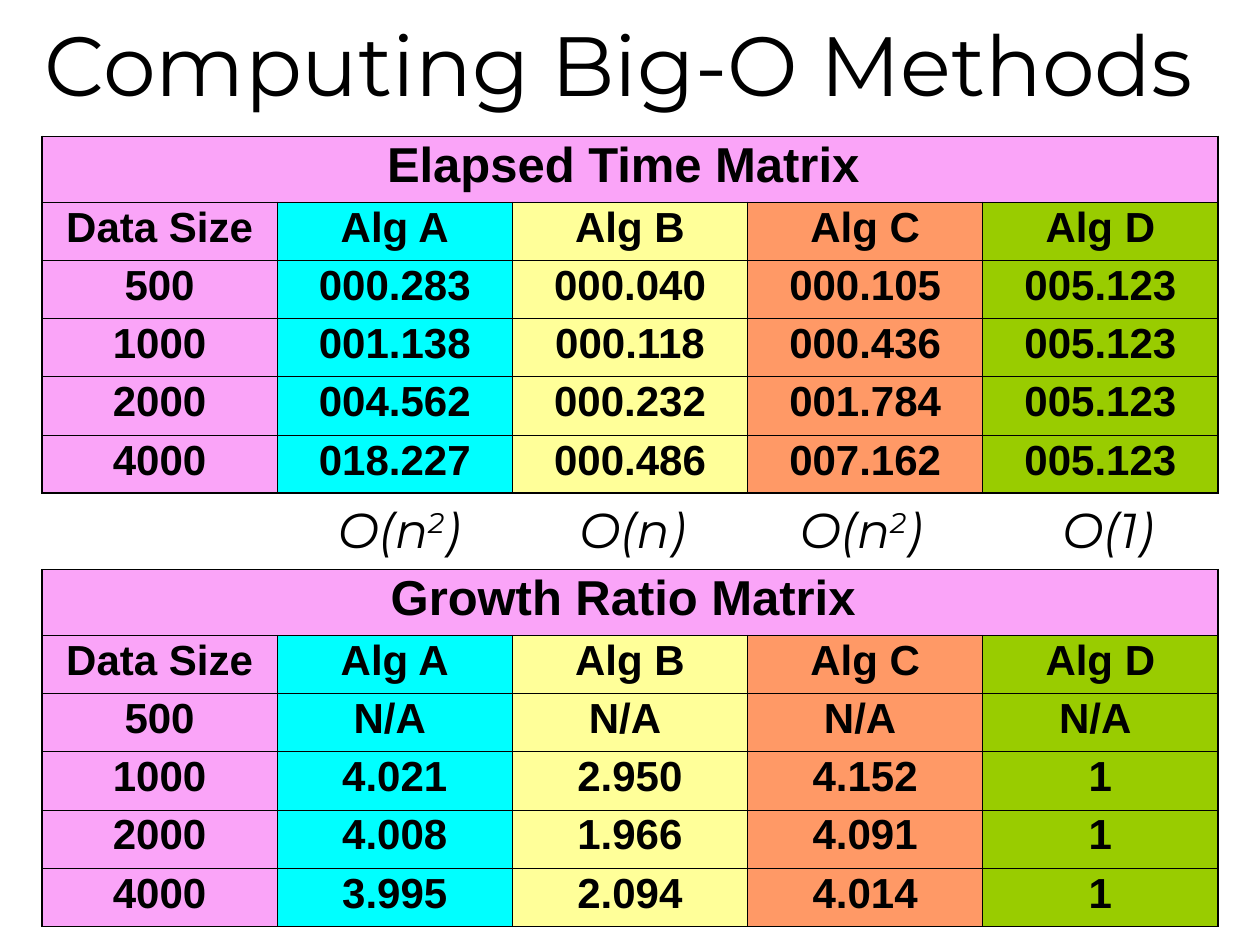
from lxml import etree
from pptx import Presentation
from pptx.dml.color import RGBColor
from pptx.enum import text
from pptx.oxml import ns
from pptx.util import Pt

COLORS = {
    "ink": "000000",
    "size": "FAA4F8",
    "alg_a": "00FFFF",
    "alg_b": "FFFF99",
    "alg_c": "FF9966",
    "alg_d": "99CC00",
}
COLUMN_FILLS = ["size", "alg_a", "alg_b", "alg_c", "alg_d"]
HEADINGS = ["Data Size", "Alg A", "Alg B", "Alg C", "Alg D"]
OUTER, INNER = 1.08, 0.45


def write(frame, content, size, font="Arial", bold=False, italic=False,
          align=text.PP_ALIGN.CENTER, spacing=None):
    """Write one paragraph; the part after ^ is one raised character."""
    paragraph = frame.paragraphs[0]
    paragraph.alignment = align
    if spacing:
        paragraph.line_spacing = spacing
    base, _, rest = content.partition("^")
    for words, raised in ((base, False), (rest[:1], True), (rest[1:], False)):
        if not words:
            continue
        run = paragraph.add_run()
        run.text = words
        run.font.name, run.font.size = font, Pt(size)
        run.font.bold, run.font.italic = bold, italic
        run.font.color.rgb = RGBColor.from_string(COLORS["ink"])
        if raised:
            run.font._element.set("baseline", "30000")


def add_border(cell, side, width):
    properties = cell._tc.get_or_add_tcPr()
    line = etree.SubElement(properties, ns.qn(f"a:ln{side}"), w=str(Pt(width)))
    fill = etree.SubElement(line, ns.qn("a:solidFill"))
    etree.SubElement(fill, ns.qn("a:srgbClr"), val=COLORS["ink"])


deck = Presentation()
deck.slide_width, deck.slide_height = Pt(720), Pt(540)
slide = deck.slides.add_slide(deck.slide_layouts[5])

# Title
title = slide.shapes.title
title.left, title.top, title.width, title.height = Pt(0), Pt(0), Pt(720), Pt(72)
title.text_frame.auto_size = text.MSO_AUTO_SIZE.NONE
title.text_frame.vertical_anchor = text.MSO_ANCHOR.MIDDLE
write(title.text_frame, "Computing Big-O Methods ", 48, font="Montserrat")

# Elapsed times and growth ratios
matrices = [
    (78, "Elapsed Time Matrix ", [
        ["500", "000.283", "000.040", "000.105", "005.123"],
        ["1000", "001.138", "000.118", "000.436", "005.123"],
        ["2000", "004.562", "000.232", "001.784", "005.123"],
        ["4000", "018.227", "000.486", "007.162", "005.123"],
    ]),
    (325.5, "Growth Ratio Matrix ", [
        ["500", "N/A ", "N/A ", "N/A ", "N/A "],
        ["1000", "4.021", "2.950", "4.152", "1"],
        ["2000", "4.008", "1.966", "4.091", "1"],
        ["4000", "3.995", "2.094", "4.014", "1"],
    ]),
]
for top, heading, measurements in matrices:
    rows = [[heading, "", "", "", ""], HEADINGS] + measurements
    last_row, last_column = len(rows) - 1, len(HEADINGS) - 1
    matrix = slide.shapes.add_table(len(rows), len(HEADINGS), Pt(24), Pt(top),
                                    Pt(672), Pt(204)).table
    matrix.first_row = matrix.horz_banding = False
    for column in matrix.columns:
        column.width = Pt(134.4)
    for r, row in enumerate(rows):
        matrix.rows[r].height = Pt(33.3 if r else 37.5)
        for c, value in enumerate(row):
            cell = matrix.cell(r, c)
            edges = {
                "L": c == 0,
                "R": c == last_column or r == 0,
                "T": r == 0,
                "B": r == last_row,
            }
            for side, is_outer in edges.items():
                add_border(cell, side, OUTER if is_outer else INNER)
            cell.fill.solid()
            fill = COLUMN_FILLS[c] if r else "size"
            cell.fill.fore_color.rgb = RGBColor.from_string(COLORS[fill])
            if value:
                write(cell.text_frame, value, 24 if r else 28, bold=True, spacing=0.9)
    matrix.cell(0, 0).merge(matrix.cell(0, last_column))

# Complexity of each algorithm
for left, order in [(186, "O(n^2)"), (324, "O(n)"), (450, "O(n^2)"), (600, "O(1)")]:
    complexity = slide.shapes.add_textbox(Pt(left), Pt(282), Pt(96), Pt(41))
    complexity.text_frame.word_wrap = True
    complexity.text_frame.auto_size = text.MSO_AUTO_SIZE.SHAPE_TO_FIT_TEXT
    write(complexity.text_frame, order, 28, font="Montserrat", italic=True,
          align=text.PP_ALIGN.LEFT)

deck.save("out.pptx")
